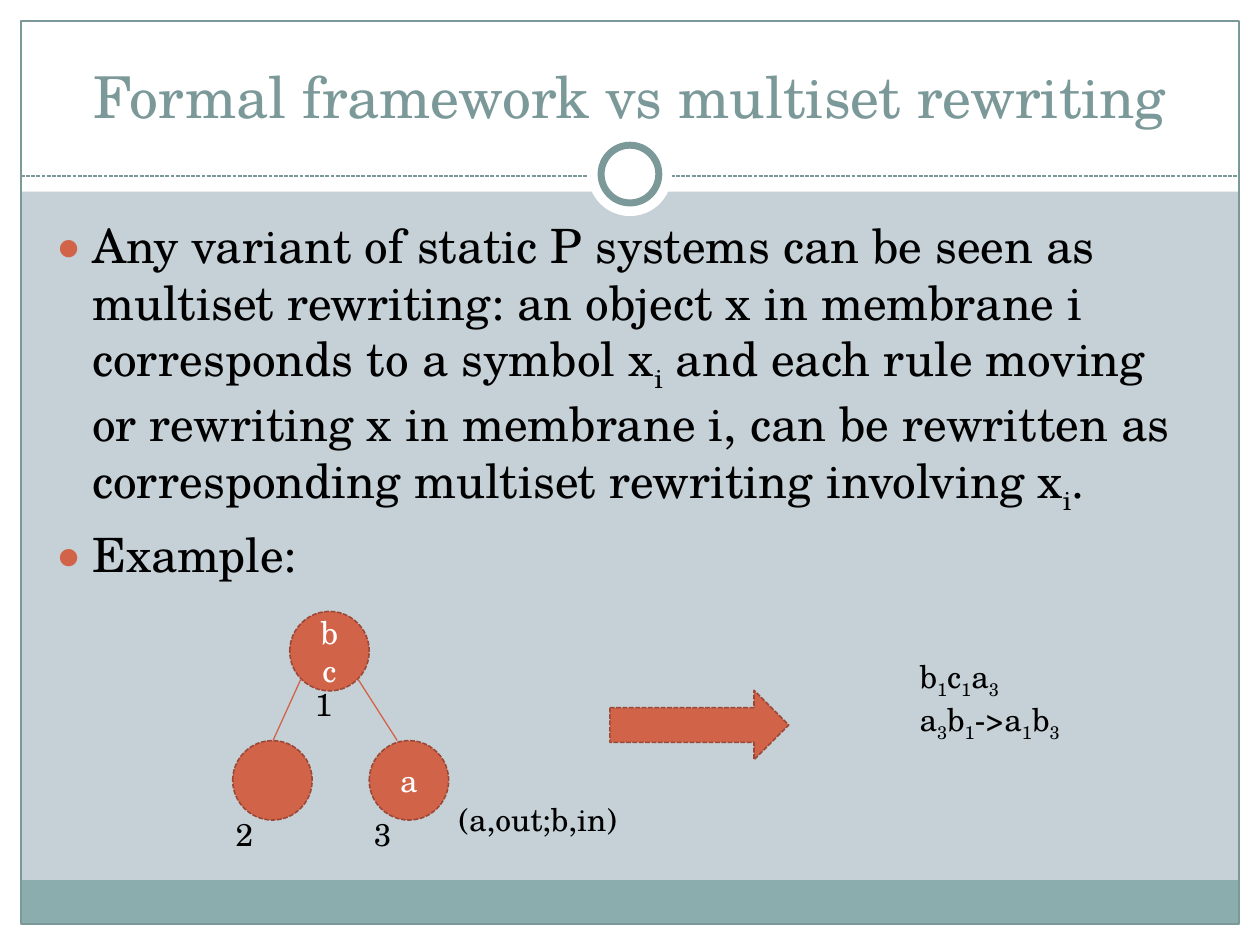
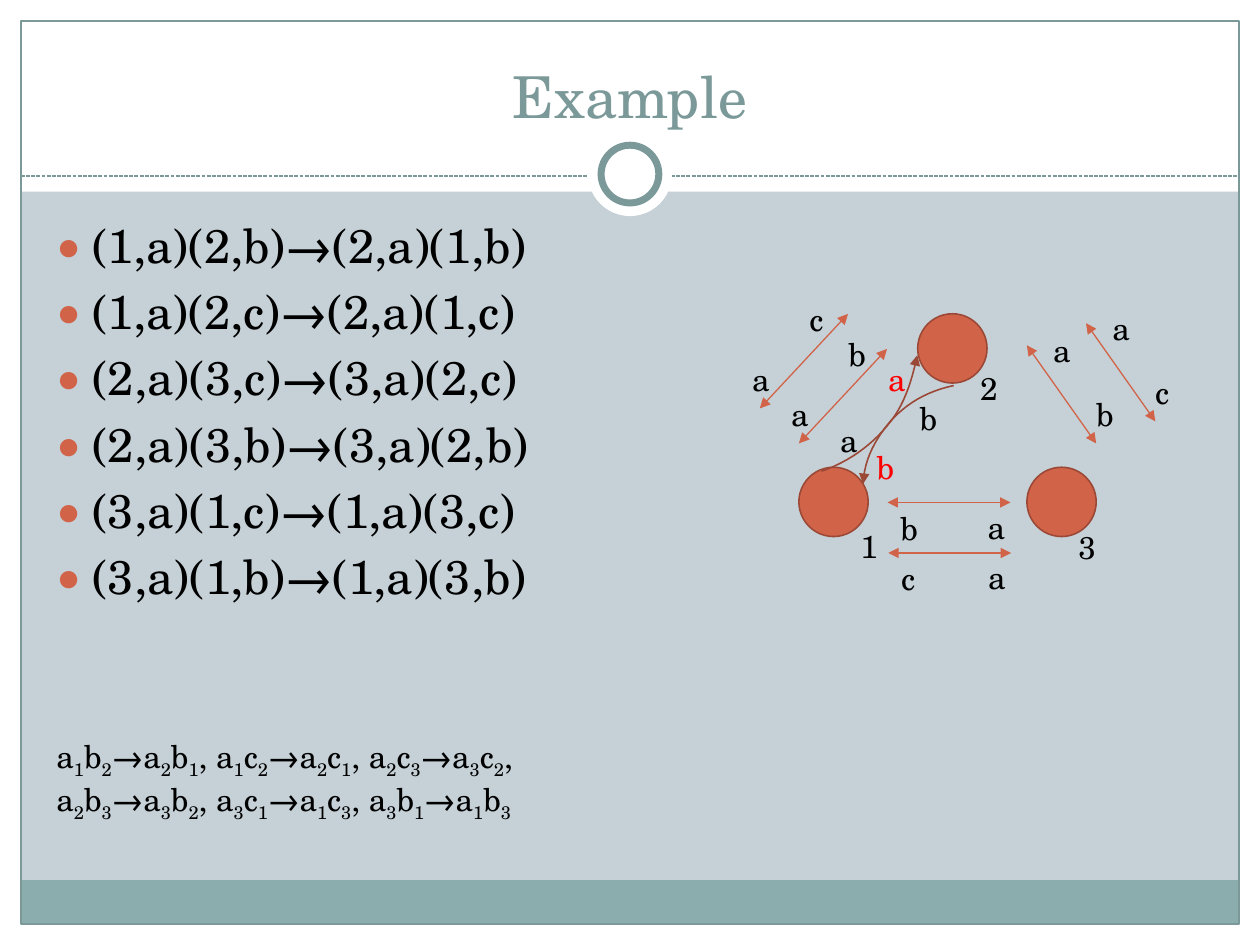
"""Build two slides on multiset rewriting for static P systems."""
from pptx import Presentation
from pptx.dml.color import RGBColor
from pptx.enum.dml import MSO_LINE
from pptx.enum.shapes import MSO_CONNECTOR, MSO_SHAPE
from pptx.enum.text import MSO_ANCHOR, PP_ALIGN
from pptx.oxml.xmlchemy import OxmlElement
from pptx.util import Pt

FONT = "TeX Gyre Schola"
BACKGROUND = RGBColor(0xC5, 0xD1, 0xD7)
WHITE = RGBColor(0xFF, 0xFF, 0xFF)
BLACK = RGBColor(0x00, 0x00, 0x00)
RED = RGBColor(0xFF, 0x00, 0x00)
TEAL = RGBColor(0x7C, 0x99, 0x9A)
BAND = RGBColor(0x8C, 0xAD, 0xAE)
ORANGE = RGBColor(0xD1, 0x63, 0x49)
BROWN = RGBColor(0x9B, 0x49, 0x36)


def add_shape(s, kind, x, y, w, h, fill=None, line=None, width=0.9, dash=None):
    """Add a preset shape with the given fill and outline."""
    sp = s.shapes.add_shape(kind, Pt(x), Pt(y), Pt(w), Pt(h))
    sp.shadow.inherit = False
    if fill is None:
        sp.fill.background()
    else:
        sp.fill.solid()
        sp.fill.fore_color.rgb = fill
    if line is None:
        sp.line.fill.background()
    else:
        sp.line.color.rgb = line
        sp.line.width = Pt(width)
        sp.line.dash_style = dash
    return sp


def write(sp, lines, size=18, color=BLACK, align=PP_ALIGN.LEFT,
          anchor=MSO_ANCHOR.TOP, bullets=False):
    """Fill a shape with paragraphs; an underscore lowers the next character."""
    tf = sp.text_frame
    tf.word_wrap = True
    tf.vertical_anchor = anchor
    for i, line in enumerate(lines):
        p = tf.add_paragraph() if i else tf.paragraphs[0]
        p.alignment = align
        if bullets:
            pPr = p._p.get_or_add_pPr()
            pPr.set("marL", str(Pt(21.6)))
            pPr.set("indent", str(-Pt(21.6)))
            clr = OxmlElement("a:buClr")
            rgb = OxmlElement("a:srgbClr")
            rgb.set("val", str(ORANGE))
            clr.append(rgb)
            pPr.append(clr)
            for tag, key, value in [("a:buSzPct", "val", "85000"),
                                    ("a:buFont", "typeface", FONT),
                                    ("a:buChar", "char", "●")]:
                el = OxmlElement(tag)
                el.set(key, value)
                pPr.append(el)
            if i:
                p.space_before = Pt(5.4)
        first, *rest = line.split("_")
        pieces = [(first, False)]
        for part in rest:
            pieces += [(part[0], True), (part[1:], False)]
        for text, lowered in pieces:
            if text:
                r = p.add_run()
                r.text = text
                r.font.name = FONT
                r.font.size = Pt(size)
                r.font.color.rgb = color
                if lowered:
                    r._r.get_or_add_rPr().set("baseline", "-25000")


prs = Presentation()
prs.slide_width = Pt(720)
prs.slide_height = Pt(540)

contents = [
    ("Formal framework vs multiset rewriting", [
        "Any variant of static P systems can be seen as multiset rewriting: "
        "an object x in membrane i corresponds to a symbol x_i and each rule "
        "moving or rewriting x in membrane i, can be rewritten as "
        "corresponding multiset rewriting involving x_i.",
        "Example:"]),
    ("Example", [
        "(1,a)(2,b)→(2,a)(1,b)",
        "(1,a)(2,c)→(2,a)(1,c)",
        "(2,a)(3,c)→(3,a)(2,c)",
        "(2,a)(3,b)→(3,a)(2,b)",
        "(3,a)(1,c)→(1,a)(3,c)",
        "(3,a)(1,b)→(1,a)(3,b)"]),
]
for title, body in contents:
    s = prs.slides.add_slide(prs.slide_layouts[6])
    s.background.fill.solid()
    s.background.fill.fore_color.rgb = BACKGROUND
    for x, y, w, h, fill in [(0, 528, 720, 12, WHITE), (0, 0, 720, 109.5, WHITE),
                             (0, 0, 12, 540, WHITE), (708, 0, 12, 540, WHITE),
                             (11.5, 503, 696, 25, BAND)]:
        add_shape(s, MSO_SHAPE.RECTANGLE, x, y, w, h, fill)
    add_shape(s, MSO_SHAPE.RECTANGLE, 12, 12, 696, 516, None, TEAL, 0.75)
    rule = s.shapes.add_connector(MSO_CONNECTOR.STRAIGHT, Pt(12), Pt(100.6), Pt(708), Pt(100.6))
    rule.line.color.rgb = TEAL
    rule.line.width = Pt(0.75)
    rule.line.dash_style = MSO_LINE.SQUARE_DOT
    add_shape(s, MSO_SHAPE.OVAL, 336, 75.5, 48, 48, WHITE)
    add_shape(s, MSO_SHAPE.OVAL, 343.5, 83, 33, 33, WHITE, TEAL, 4)
    write(s.shapes.add_textbox(Pt(24), Pt(18), Pt(672), Pt(60)), [title], 33, TEAL,
          PP_ALIGN.CENTER, MSO_ANCHOR.BOTTOM)
    write(s.shapes.add_textbox(Pt(24), Pt(120), Pt(670), Pt(360)), body, 27, bullets=True)

s = prs.slides[0]
membranes = [("2", "", 133, 423.2, 127.5, 462), ("3", "a", 211, 423.2, 206.6, 462),
             ("1", "bc", 165.6, 349.4, 172.8, 388)]
for number, objects, x, y, label_x, label_y in membranes:
    sp = add_shape(s, MSO_SHAPE.OVAL, x, y, 45.4, 45.4, ORANGE, BROWN, dash=MSO_LINE.SQUARE_DOT)
    write(sp, [objects], 18, WHITE, PP_ALIGN.CENTER, MSO_ANCHOR.MIDDLE)
    write(s.shapes.add_textbox(Pt(label_x), Pt(label_y), Pt(24), Pt(29)), [number])
for x1, y1, x2, y2 in [(204.5, 388, 227, 423.2), (172, 388, 156, 423.2)]:
    edge = s.shapes.add_connector(MSO_CONNECTOR.STRAIGHT, Pt(x1), Pt(y1), Pt(x2), Pt(y2))
    edge.line.color.rgb = ORANGE
    edge.line.width = Pt(0.75)
write(s.shapes.add_textbox(Pt(255), Pt(453.6), Pt(112), Pt(29)), ["(a,out;b,in)"])
add_shape(s, MSO_SHAPE.RIGHT_ARROW, 348.5, 394.5, 102.2, 39.6, ORANGE, BROWN,
          dash=MSO_LINE.SQUARE_DOT)
write(s.shapes.add_textbox(Pt(518.4), Pt(372), Pt(102), Pt(51)),
      ["b_1c_1a_3", "a_3b_1->a_1b_3"])

s = prs.slides[1]
labels = [("1", 484.6, 297.4, BLACK), ("2", 553, 207.4, BLACK), ("3", 609.1, 298, BLACK)]
for x, y in [(456.5, 267), (524.4, 179.3), (586.8, 267)]:
    add_shape(s, MSO_SHAPE.OVAL, x, y, 39.6, 39.6, ORANGE, BROWN)

exchanges = [
    ((456.5, 253.4), (506.9, 199.4), (-22.3, -20), (-11.5, -31), (-29.2, -11.5), ("ab", "ac")),
    ((586.8, 197.3), (626.4, 253.4), (33.8, -12.6), (7.9, -11.5), (-7.2, -31.3), ("ab", "ac")),
    ((507.2, 287.1), (577.4, 287.1), (0.4, 28.9), (0.2, 0), (-20.2, -0.6), ("ba", "ca")),
]
for start, end, shift, start_gap, end_gap, pairs in exchanges:
    for i, pair in enumerate(pairs):
        x1, y1, x2, y2 = [v + i * d for v, d in zip(start + end, shift * 2)]
        arrow = s.shapes.add_connector(MSO_CONNECTOR.STRAIGHT, Pt(x1), Pt(y1), Pt(x2), Pt(y2))
        arrow.line.color.rgb = ORANGE
        arrow.line.width = Pt(0.75)
        for tag in ("a:headEnd", "a:tailEnd"):
            tip = OxmlElement(tag)
            tip.set("type", "triangle")
            arrow.line._get_or_add_ln().append(tip)
        labels += [(pair[0], x1 + start_gap[0], y1 + start_gap[1], BLACK),
                   (pair[1], x2 + end_gap[0], y2 + end_gap[1], BLACK)]

curves = [
    [(545, 220.3), (528.5, 223.9), (517.7, 231.1), (509, 240.5),
     (501.1, 249.8), (493.9, 261.4), (493.2, 276.5)],
    [(469.4, 269.3), (484.6, 264.2), (498.2, 254.2), (506.9, 243.4),
     (516.2, 232.6), (520.6, 219.6), (524.2, 203)],
]
STEPS = 12
for knots in curves:
    points = []
    for k in (0, 3):
        for i in range(1, STEPS + 1):
            t = i / STEPS
            weights = [(1 - t) ** 3, 3 * t * (1 - t) ** 2, 3 * t * t * (1 - t), t ** 3]
            points.append([Pt(sum(c * v[axis] for c, v in zip(weights, knots[k:k + 4])))
                           for axis in (0, 1)])
    fb = s.shapes.build_freeform(Pt(knots[0][0]), Pt(knots[0][1]))
    fb.add_line_segments(points, close=False)
    sp = fb.convert_to_shape()
    sp.shadow.inherit = False
    sp.fill.background()
    sp.line.color.rgb = BROWN
    sp.line.width = Pt(0.9)
    tip = OxmlElement("a:tailEnd")
    tip.set("type", "triangle")
    sp.line._get_or_add_ln().append(tip)

labels += [("b", 518.4, 224.6, BLACK), ("a", 473, 236.9, BLACK),
           ("b", 493.9, 252.7, RED), ("a", 500.4, 202.3, RED)]
for text, x, y, color in labels:
    write(s.shapes.add_textbox(Pt(x), Pt(y), Pt(24), Pt(29)), [text], color=color)
write(s.shapes.add_textbox(Pt(25.2), Pt(417.6), Pt(285), Pt(73)),
      ["a_1b_2→a_2b_1, a_1c_2→a_2c_1, a_2c_3→a_3c_2,",
       "a_2b_3→a_3b_2, a_3c_1→a_1c_3, a_3b_1→a_1b_3"])

for s in prs.slides:
    for cxn in s.shapes._spTree.findall(".//{*}cxnSp"):
        cxn.spPr.append(OxmlElement("a:effectLst"))

prs.save("out.pptx")
